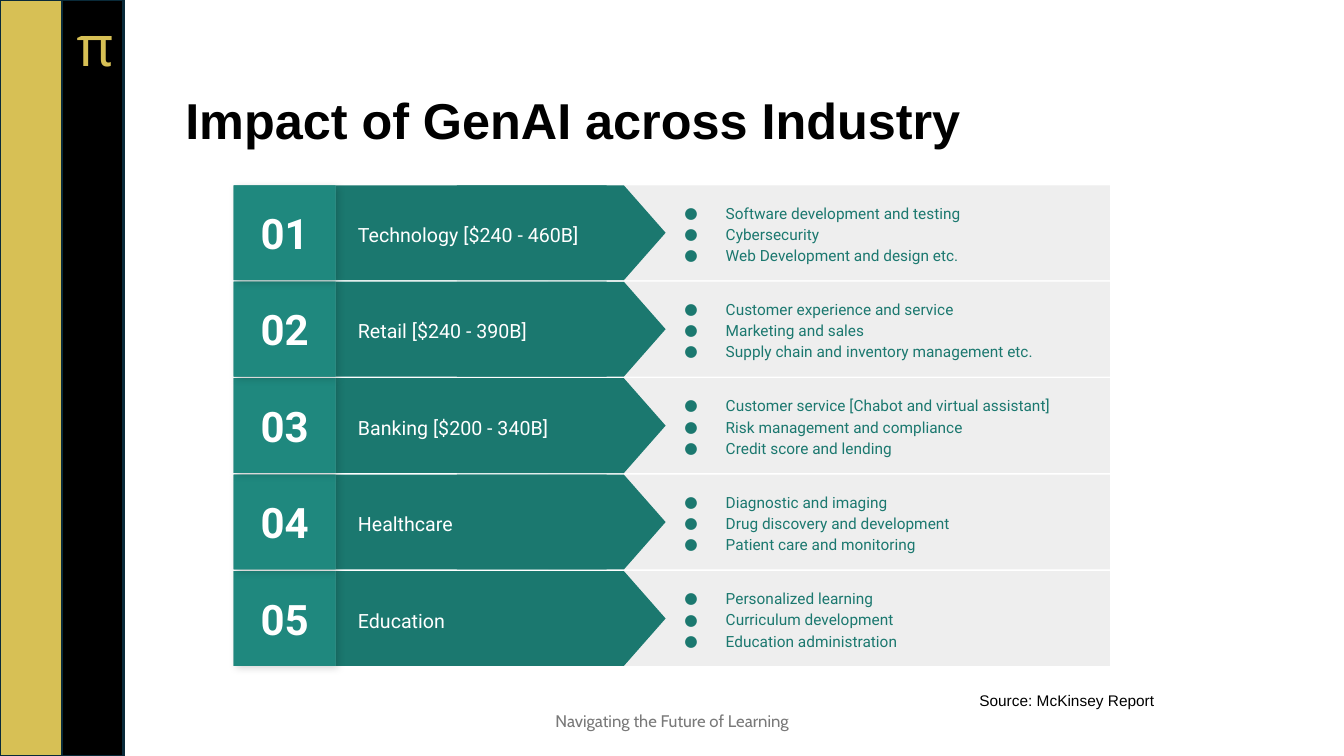
from lxml import etree
from pptx import Presentation
from pptx.dml.color import RGBColor
from pptx.enum.shapes import MSO_SHAPE
from pptx.enum.text import MSO_ANCHOR, MSO_AUTO_SIZE, PP_ALIGN
from pptx.oxml.ns import qn
from pptx.util import Cm, Pt

RECT = MSO_SHAPE.RECTANGLE
POINTER = MSO_SHAPE.FLOWCHART_OFFPAGE_CONNECTOR
TOP, MIDDLE, BOTTOM = MSO_ANCHOR.TOP, MSO_ANCHOR.MIDDLE, MSO_ANCHOR.BOTTOM
LEFT, CENTER = PP_ALIGN.LEFT, PP_ALIGN.CENTER
GROW = MSO_AUTO_SIZE.SHAPE_TO_FIT_TEXT

GOLD, BLACK, NAVY, WHITE = "D7C055", "000000", "092A39", "FFFFFF"
TEAL, TEAL_MID, TEAL_LIGHT = "1B786F", "1D7E75", "1F887E"
PALE, GREY = "EEEEEE", "797979"

ROW_TOP, ROW_PITCH, ROW_HEIGHT = 4.67, 2.43, 2.39
POINTER_LENGTH = 5.26

INDUSTRIES = [
    ("Technology [$240 - 460B]",
     ["Software development and testing", "Cybersecurity", "Web Development and design etc."]),
    ("Retail [$240 - 390B]",
     ["Customer experience and service", "Marketing and sales",
      "Supply chain and inventory management etc."]),
    ("Banking [$200 - 340B]",
     ["Customer service [Chabot and virtual assistant]", "Risk management and compliance",
      "Credit score and lending"]),
    ("Healthcare",
     ["Diagnostic and imaging", "Drug discovery and development", "Patient care and monitoring"]),
    ("Education",
     ["Personalized learning", "Curriculum development", "Education administration"]),
]


def color(value):
    return RGBColor.from_string(value)


class SlideBuilder:
    font = "Roboto"
    inset = 0.33

    def __init__(self, page):
        self.page = page
        self.shapes = page.shapes

    def start_group(self):
        self.shapes = self.page.shapes.add_group_shape().shapes

    def end_group(self):
        self.shapes = self.page.shapes

    def shape(self, kind, left, top, width, height, fill, outline=None, rotation=0):
        shape = self.shapes.add_shape(kind, Cm(left), Cm(top), Cm(width), Cm(height))
        shape.shadow.inherit = False
        shape.rotation = rotation
        shape.fill.solid()
        shape.fill.fore_color.rgb = color(fill)
        if outline:
            shape.line.color.rgb = color(outline)
            shape.line.width = Pt(1.5)
        else:
            shape.line.fill.background()
        return shape

    def drop_shadow(self, shape):
        effects = shape.element.spPr.find(qn("a:effectLst"))
        shadow = etree.SubElement(effects, qn("a:outerShdw"), blurRad=str(Pt(5.6)),
                                  dist=str(Pt(2.2)), dir="2700000", algn="ctr", rotWithShape="0")
        tint = etree.SubElement(shadow, qn("a:srgbClr"), val=BLACK)
        etree.SubElement(tint, qn("a:alpha"), val="17000")

    def bullet(self, para, tint):
        props = para._p.get_or_add_pPr()
        props.set("marL", str(Cm(1.7)))
        props.set("indent", str(Cm(-1.04)))
        etree.SubElement(etree.SubElement(props, qn("a:buClr")), qn("a:srgbClr"), val=tint)
        etree.SubElement(props, qn("a:buFont"), typeface=self.font)
        etree.SubElement(props, qn("a:buChar"), char="●")

    def fill_text(self, box, lines, size, tint, font=None, bold=False, align=LEFT,
                  anchor=MIDDLE, spacing=None, inset=None, bullets=False):
        frame = box.text_frame
        frame.word_wrap = True
        frame.vertical_anchor = anchor
        side, edge = inset or (self.inset, self.inset)
        frame.margin_left = frame.margin_right = Cm(side)
        frame.margin_top = frame.margin_bottom = Cm(edge)
        for index, line in enumerate(lines):
            para = frame.add_paragraph() if index else frame.paragraphs[0]
            para.text = line
            if bullets:
                self.bullet(para, tint)
            para.alignment = align
            if spacing:
                para.line_spacing = spacing
            para.font.name = font or self.font
            para.font.size = Pt(size)
            para.font.bold = bold
            para.font.color.rgb = color(tint)

    def text(self, left, top, width, height, lines, size, tint, **style):
        box = self.shapes.add_textbox(Cm(left), Cm(top), Cm(width), Cm(height))
        self.fill_text(box, lines, size, tint, **style)
        return box

    def industry_row(self, number, label, uses):
        top = ROW_TOP + (number - 1) * ROW_PITCH
        self.start_group()
        self.shape(RECT, 13.82, top, 14.15, ROW_HEIGHT, PALE)
        self.shape(RECT, 8.46, top, 6.83, ROW_HEIGHT, TEAL)
        self.shape(POINTER, 12.95, top + (ROW_HEIGHT - POINTER_LENGTH) / 2,
                   ROW_HEIGHT, POINTER_LENGTH, TEAL, rotation=270)
        self.text(8.69, top + 0.28, 7.19, 1.83, [label], 14, WHITE, spacing=1.15)
        self.drop_shadow(self.shape(RECT, 5.89, top, 2.57, ROW_HEIGHT, TEAL_MID))
        tile = self.shape(RECT, 5.89, top, 2.57, ROW_HEIGHT, TEAL_LIGHT)
        self.fill_text(tile, [f"{number:02d}"], 30, WHITE, bold=True, align=CENTER)
        self.text(16.26, top, 11, ROW_HEIGHT, uses, 11, TEAL, spacing=1.15, bullets=True)
        self.end_group()


def main():
    deck = Presentation()
    deck.slide_width, deck.slide_height = Cm(33.87), Cm(19.05)
    builder = SlideBuilder(deck.slides.add_slide(deck.slide_layouts[6]))
    slim = (0.25, 0.13)

    # Side bands
    builder.shape(RECT, 0, 0, 3.12, 19.05, GOLD, NAVY)
    builder.shape(RECT, 1.57, 0, 1.54, 19.05, BLACK, NAVY)
    symbol = builder.text(1.68, 0.13, 1.22, 1.96, ["π"], 40, GOLD, font="Cabin",
                          anchor=TOP, inset=slim)
    symbol.text_frame.auto_size = GROW

    # Title
    builder.text(4.42, 0.48, 27.18, 3.45, ["Impact of GenAI across Industry"], 36, BLACK,
                 font="Arial", bold=True, anchor=BOTTOM, spacing=0.9, inset=slim)

    # Industry rows, lowest first so each tile's shadow falls on the row below
    for number, (label, uses) in reversed(list(enumerate(INDUSTRIES, 1))):
        builder.industry_row(number, label, uses)

    # Source and footer
    builder.text(24.43, 17.17, 7.59, 0.89, ["Source: McKinsey Report"], 11, BLACK,
                 font="Arial", anchor=TOP, inset=(0.25, 0.25))
    builder.text(11.23, 17.65, 11.43, 1.02, ["Navigating the Future of Learning"], 12, GREY,
                 font="Cabin", align=CENTER, inset=slim)

    deck.save("out.pptx")


if __name__ == "__main__":
    main()
